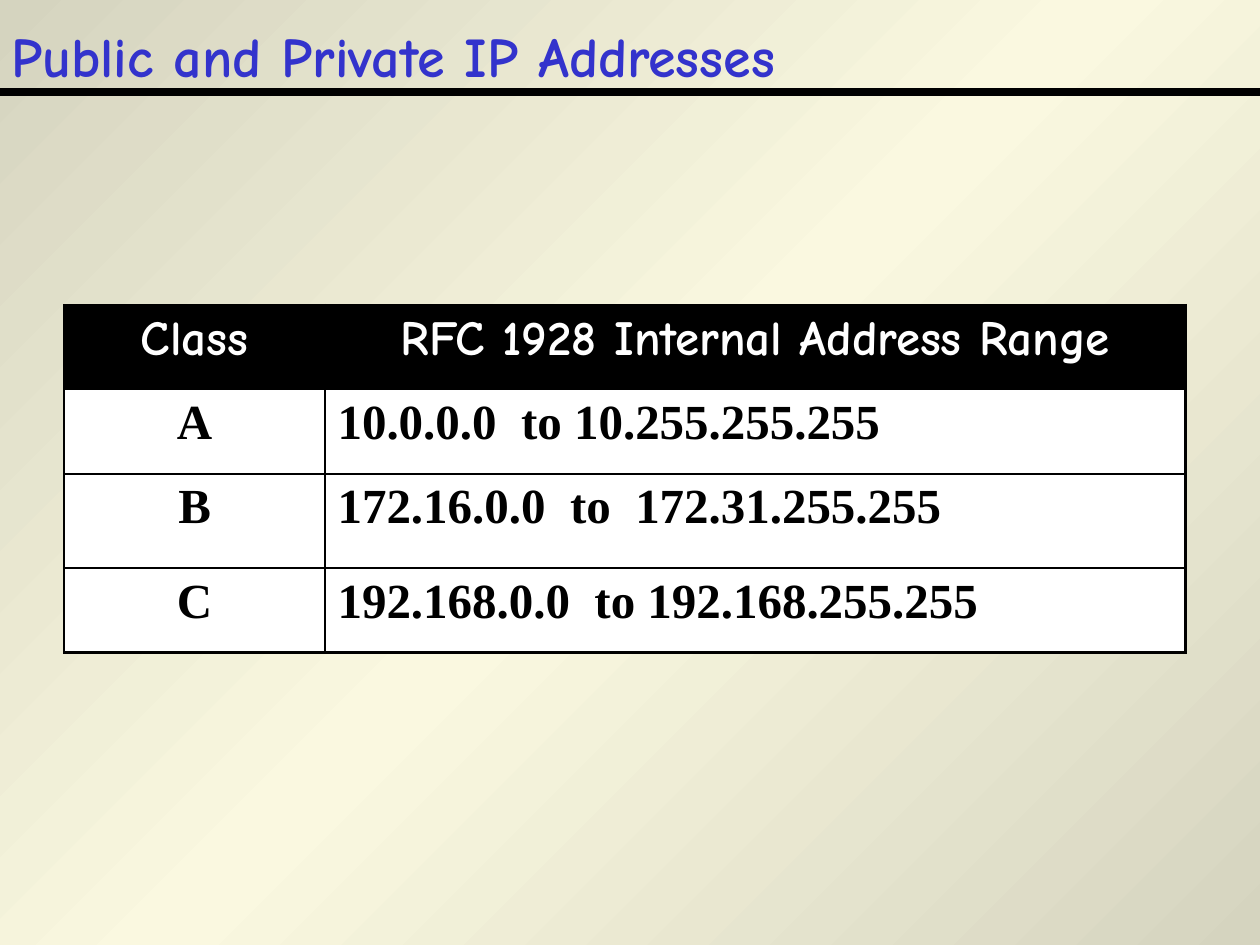
from copy import deepcopy

from pptx import Presentation
from pptx.dml.color import RGBColor
from pptx.enum.shapes import MSO_CONNECTOR
from pptx.enum.text import MSO_ANCHOR, PP_ALIGN
from pptx.oxml import parse_xml
from pptx.oxml.ns import nsdecls, qn
from pptx.util import Inches, Pt

LEFT, CENTER = PP_ALIGN.LEFT, PP_ALIGN.CENTER
MIDDLE, STRAIGHT = MSO_ANCHOR.MIDDLE, MSO_CONNECTOR.STRAIGHT

BLACK = RGBColor(0x00, 0x00, 0x00)
WHITE = RGBColor(0xFF, 0xFF, 0xFF)
BLUE = RGBColor(0x33, 0x33, 0xCC)
SAND = RGBColor(0xD5, 0xD4, 0xBF)
CREAM = RGBColor(0xFA, 0xF8, 0xE0)
COMIC, TIMES = "Comic Neue", "Times New Roman"

TITLE = "Public and Private IP Addresses"
ROWS = [
    ("Class", "RFC 1928 Internal Address Range"),
    ("A", "10.0.0.0  to 10.255.255.255"),
    ("B", "172.16.0.0  to  172.31.255.255"),
    ("C", "192.168.0.0  to 192.168.255.255"),
]
STOPS = [(0, SAND), (0.5, CREAM), (1, SAND)]
WIDE, HIGH = 10, 7.5
RULES = (0.72, 0.74)
COLS = (2.07, 6.83)
TALL = (0.67, 0.67, 0.75, 0.67)
EDGE = 1.47


def put_text(frame, text, font=COMIC, size=28, color=BLACK, align=LEFT):
    para = frame.paragraphs[0]
    para.alignment = align
    run = para.add_run()
    run.text = text
    run.font.name, run.font.size, run.font.bold = font, Pt(size), True
    run.font.color.rgb = color


def paint_back(slide):
    fill = slide.background.fill
    fill.gradient()
    fill.gradient_angle = 135
    stops = slide._element.find(".//" + qn("a:gsLst"))
    stops.append(deepcopy(stops[0]))
    for stop, (place, color) in zip(fill.gradient_stops, STOPS):
        stop.position = place
        stop.color.rgb = color


def add_rule(slide, y):
    rule = slide.shapes.add_connector(
        STRAIGHT, 0, Inches(y), Inches(WIDE), Inches(y))
    rule.line.color.rgb = BLACK
    rule.line.width = Pt(3)
    rule._element.spPr.append(parse_xml(f"<a:effectLst {nsdecls('a')}/>"))


def add_edges(cell):
    """Draw all four borders; they must come before the fill."""
    props = cell._tc.get_or_add_tcPr()
    for i, side in enumerate(("lnL", "lnR", "lnT", "lnB")):
        props.insert(i, parse_xml(
            f'<a:{side} {nsdecls("a")} w="{Pt(EDGE)}"><a:solidFill>'
            f'<a:srgbClr val="{BLACK}"/></a:solidFill></a:{side}>'))


def add_grid(slide):
    grid = slide.shapes.add_table(
        len(ROWS), len(COLS), Inches(0.51), Inches(2.42),
        Inches(sum(COLS)), Inches(sum(TALL))).table
    for col, width in zip(grid.columns, COLS):
        col.width = Inches(width)
    for row, height in zip(grid.rows, TALL):
        row.height = Inches(height)
    for r, texts in enumerate(ROWS):
        head = r == 0
        for c, text in enumerate(texts):
            cell = grid.cell(r, c)
            cell.fill.solid()
            cell.fill.fore_color.rgb = BLACK if head else WHITE
            add_edges(cell)
            put_text(cell.text_frame, text,
                     font=COMIC if head else TIMES,
                     color=WHITE if head else BLACK,
                     align=CENTER if head or c == 0 else LEFT)


def main():
    deck = Presentation()
    deck.slide_width, deck.slide_height = Inches(WIDE), Inches(HIGH)
    slide = deck.slides.add_slide(deck.slide_layouts[6])
    paint_back(slide)
    box = slide.shapes.add_textbox(
        Inches(-0.01), Inches(0.1), Inches(8.5), Inches(0.67))
    box.text_frame.word_wrap = True
    box.text_frame.vertical_anchor = MIDDLE
    put_text(box.text_frame, TITLE, size=32, color=BLUE)
    for y in RULES:
        add_rule(slide, y)
    add_grid(slide)
    deck.save("out.pptx")


if __name__ == "__main__":
    main()
